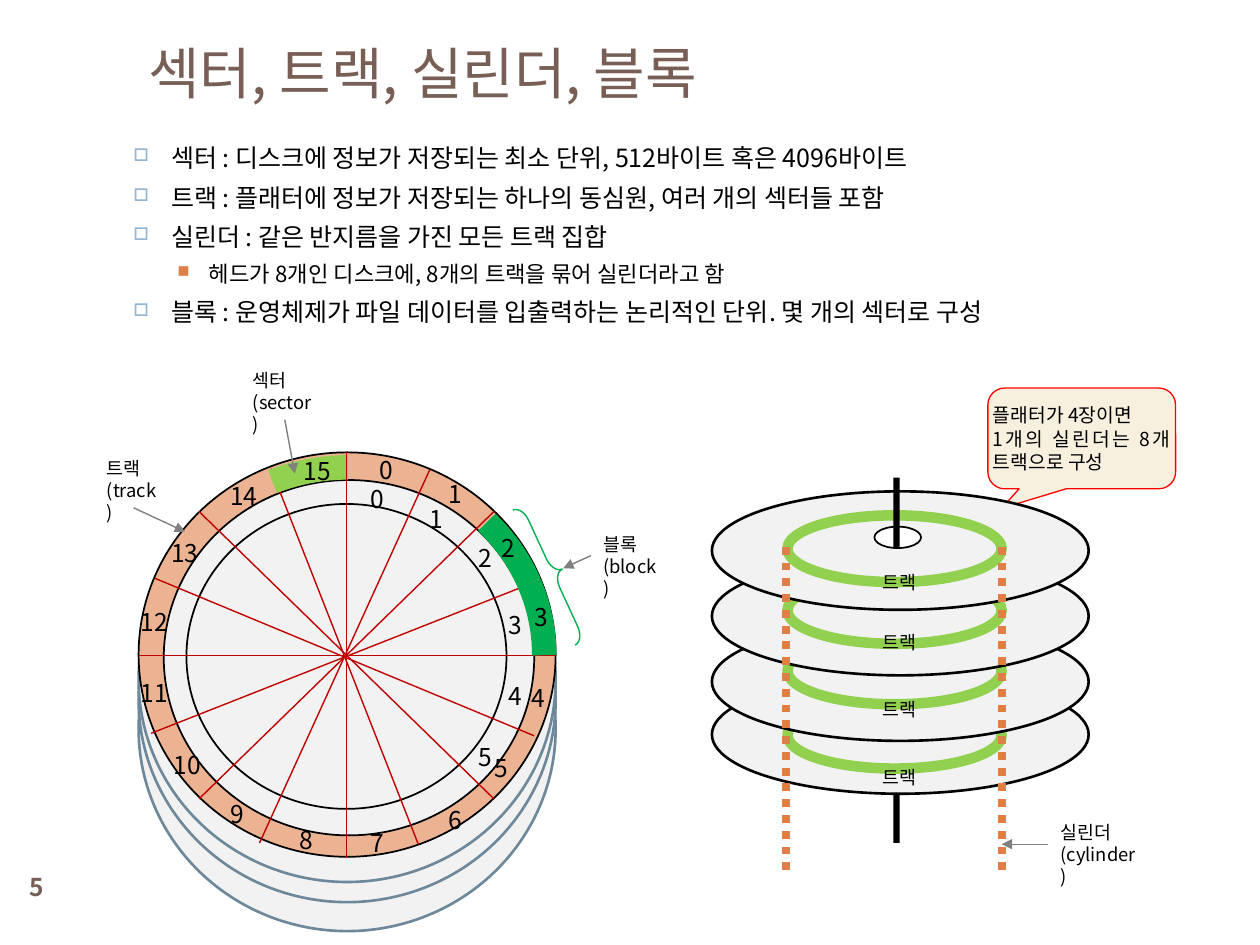
from math import cos, radians, sin

from lxml.etree import SubElement
from pptx import Presentation
from pptx.dml.color import RGBColor
from pptx.enum.dml import MSO_LINE
from pptx.enum.shapes import MSO_CONNECTOR, MSO_SHAPE as SH
from pptx.enum.text import MSO_ANCHOR, MSO_AUTO_SIZE, PP_ALIGN
from pptx.oxml.ns import qn
from pptx.util import Emu, Pt

PX = 9144
FONT = "Noto Sans CJK KR"
C = {
    "brown": "775F55", "black": "000000", "white": "FFFFFF", "blue": "94B6D2",
    "orange": "DD8047", "disk": "F2F2F2", "edge": "6D879B", "peach": "EBB391",
    "red": "C00000", "gray": "808080", "lime": "92D050", "green": "00B050",
    "cream": "F7F0DE", "alert": "FF0000",
}


def emu(*lengths):
    return [Emu(round(v * PX)) for v in lengths]


def rgb(name):
    return RGBColor.from_string(C[name])


def stroke(shape, color, width, dash=None):
    shape.line.color.rgb = rgb(color)
    shape.line.width = Pt(width)
    if dash:
        shape.line.dash_style = dash


def add_shape(s, kind, box, fill=None, line=None, width=1, dash=None, alpha=None):
    sp = s.shapes.add_shape(kind, *emu(*box))
    sp.shadow.inherit = False
    if fill:
        sp.fill.solid()
        sp.fill.fore_color.rgb = rgb(fill)
        if alpha:
            color = sp.fill._xPr.find(qn("a:solidFill"))[0]
            SubElement(color, qn("a:alpha"), val=str(alpha * 1000))
    else:
        sp.fill.background()
    if line:
        stroke(sp, line, width, dash)
    else:
        sp.line.fill.background()
    return sp


def add_line(s, x1, y1, x2, y2, color, width=0.79, dash=None, arrow=False):
    cn = s.shapes.add_connector(MSO_CONNECTOR.STRAIGHT, *emu(x1, y1, x2, y2))
    stroke(cn, color, width, dash)
    SubElement(cn._element.spPr, qn("a:effectLst"))
    if arrow:
        SubElement(cn.line._get_or_add_ln(), qn("a:tailEnd"), type="triangle")


def style(p, size, color="black", bold=False):
    p.line_spacing = Pt(round(size * 1.2, 1))
    for r in p.runs:
        r.font.name = FONT
        r.font.size = Pt(size)
        r.font.bold = bold
        r.font.color.rgb = rgb(color)
        SubElement(r._r.get_or_add_rPr(), qn("a:ea"), typeface=FONT)


def add_text(s, box, text, size, color="black", bold=False, wrap=True, middle=False):
    tf = s.shapes.add_textbox(*emu(*box)).text_frame
    tf.word_wrap = wrap
    tf.auto_size = MSO_AUTO_SIZE.NONE if middle else MSO_AUTO_SIZE.SHAPE_TO_FIT_TEXT
    tf.vertical_anchor = MSO_ANCHOR.MIDDLE if middle else MSO_ANCHOR.TOP
    tf.text = text
    for p in tf.paragraphs:
        style(p, size, color, bold)
    return tf


def add_bullet(p, char, color, percent, margin, indent):
    pPr = p._p.get_or_add_pPr()
    pPr.set("marL", str(margin * PX))
    pPr.set("indent", str(-indent * PX))
    SubElement(SubElement(pPr, qn("a:buClr")), qn("a:srgbClr"), val=C[color])
    SubElement(pPr, qn("a:buSzPct"), val=str(percent * 1000))
    SubElement(pPr, qn("a:buChar"), char=char)


def add_body(s, x, y, w, h):
    items = [
        (1, "섹터 : 디스크에 정보가 저장되는 최소 단위, 512바이트 혹은 4096바이트"),
        (1, "트랙 : 플래터에 정보가 저장되는 하나의 동심원, 여러 개의 섹터들 포함"),
        (1, "실린더 : 같은 반지름을 가진 모든 트랙 집합"),
        (2, "헤드가 8개인 디스크에, 8개의 트랙을 묶어 실린더라고 함"),
        (1, "블록 : 운영체제가 파일 데이터를 입출력하는 논리적인 단위. 몇 개의 섹터로 구성"),
    ]
    levels = {
        1: (14.3, 5.5, ("□", "blue", 70, 70, 30)),
        2: (12.7, 5, ("■", "orange", 75, 100, 25)),
    }
    tf = add_text(s, (x, y, w, h), "\n".join(t for _, t in items), 14.3)
    tf.auto_size = MSO_AUTO_SIZE.NONE
    for i, (p, (level, _)) in enumerate(zip(tf.paragraphs, items)):
        size, before, bullet = levels[level]
        add_bullet(p, *bullet)
        p.level = level - 1
        p.line_spacing = Pt(round(size * 1.2, 1))
        p.space_before = Pt(before if i else 0)
        for r in p.runs:
            r.font.size = Pt(size)


def add_arc(s, cx, cy, start, color, rx=156, ry=149, sweep=22.5, steps=12):
    angles = [radians(start + sweep * i / steps) for i in range(steps + 1)]
    points = [emu(cx + rx * cos(a), cy - ry * sin(a)) for a in angles]
    builder = s.shapes.build_freeform(*points[0])
    builder.add_line_segments(points[1:], close=False)
    sp = builder.convert_to_shape()
    sp.shadow.inherit = False
    sp.fill.background()
    stroke(sp, color, 14)


def add_wheel(s, x, y):
    for dy in (59, 36, 20):
        add_shape(s, SH.OVAL, (x, y + dy, 331, 321), "disk", "edge", 1.5)
    rings = [(0, 0, 331, 321, "peach"), (20, 22, 294, 282, "disk"), (38, 41, 254, 242, None)]
    for dx, dy, w, h, fill in rings:
        add_shape(s, SH.OVAL, (x + dx, y + dy, w, h), fill, "black")

    spokes = [
        (0, 161, 331, 161), (48, 47, 282, 275), (282, 47, 48, 275), (105, 13, 222, 311),
        (10, 223, 317, 102), (13, 100, 314, 225), (231, 14, 96, 310),
    ]
    for x1, y1, x2, y2 in spokes:
        add_line(s, x + x1, y + y1, x + x2, y + y2, "red")
    for start, color in ((90, "lime"), (22.5, "green"), (0, "green")):
        add_arc(s, x + 166, y + 161, start, color)
    add_line(s, x + 165, y, x + 165, y + 322, "red")

    outer = [
        (181, -3), (236, 16), (278, 59), (304, 114), (302, 178), (273, 234), (236, 275), (174, 293),
        (118, 291), (63, 270), (18, 231), (-8, 174), (-8, 118), (16, 63), (63, 18), (121, -2),
    ]
    inner = [(174, 20), (221, 36), (260, 67), (284, 120), (284, 177), (260, 225)]
    for track in (outer, inner):
        for n, (dx, dy) in enumerate(track):
            add_text(s, (x + dx, y + dy, 31 if n < 10 else 42, 34), str(n), 14, wrap=False)

    captions = [
        ("트랙\n(track)", (-35, -1, 62), (-4, 44, 37, 63)),
        ("섹터\n(sector)", (81, -71, 70), (116, -26, 124, 17)),
        ("블록\n(block)", (359, 59, 65), (359, 82, 337, 92)),
    ]
    for text, (dx, dy, w), (x1, y1, x2, y2) in captions:
        add_text(s, (x + dx, y + dy, w, 45), text, 10.5)
        add_line(s, x + x1, y + y1, x + x2, y + y2, "gray", arrow=True)
    brace = add_shape(s, SH.RIGHT_BRACE, (x + 321, y + 37, 16, 118), None, "green", 0.79)
    brace.rotation = 335.2
    brace.adjustments[0] = 0.773


def add_callout(s, x, y, w, h):
    sp = add_shape(s, SH.ROUNDED_RECTANGULAR_CALLOUT, (x, y, w, h), "cream", "alert", 0.75)
    for i, value in enumerate((-0.427, 0.694, 0.167)):
        sp.adjustments[i] = value
    tf = sp.text_frame
    tf.word_wrap = True
    tf.margin_left = tf.margin_right = tf.margin_top = tf.margin_bottom = 0
    tf.vertical_anchor = MSO_ANCHOR.MIDDLE
    tf.text = "플래터가 4장이면\n1개의 실린더는 8개 트랙으로 구성"
    for p in tf.paragraphs:
        p.alignment = PP_ALIGN.JUSTIFY
        style(p, 11)


def add_stack(s, x, y):
    add_shape(s, SH.RECTANGLE, (x + 144, y + 32, 5, 258), "black")
    platters = [(157, 178, 224), (115, 127, 170), (63, 79, 117), (11, 30, 69)]
    for disk, track, _ in platters:
        add_shape(s, SH.OVAL, (x, y + disk, 299, 94), "disk", "black", 1.5)
        add_shape(s, SH.OVAL, (x + 61, y + track + 1, 169, 53), "disk", "green", 0.75,
                  MSO_LINE.ROUND_DOT, 87)
        add_shape(s, SH.OVAL, (x + 60, y + track, 170, 53), "disk", "lime", 6, alpha=87)
    for *_, label in platters:
        add_text(s, (x + 126, y + label, 50, 28), "트랙", 10.5, wrap=False)
    for dx in (230, 59):
        add_line(s, x + dx, y + 55, x + dx, y + 315, "orange", 4.5, MSO_LINE.ROUND_DOT)
    add_shape(s, SH.OVAL, (x + 129, y + 39, 37, 17), "white", "black")
    add_shape(s, SH.RECTANGLE, (x + 144, y, 5, 55), "black")
    add_text(s, (x + 267, y + 268, 82, 45), "실린더\n(cylinder)", 10.5)
    add_line(s, x + 267, y + 291, x + 230, y + 291, "gray", arrow=True)


def main():
    prs = Presentation()
    prs.slide_width, prs.slide_height = emu(1000, 750)
    s = prs.slides.add_slide(prs.slide_layouts[6])
    number = add_text(s, (0, 683, 58, 42), "5", 14, "brown", bold=True, middle=True)
    number.paragraphs[0].alignment = PP_ALIGN.CENTER
    add_text(s, (108, 20, 892, 74), "섹터, 트랙, 실린더, 블록", 32, "brown", middle=True)
    add_body(s, 56, 108, 892, 139)
    add_wheel(s, 110, 359)
    add_callout(s, 784, 308, 149, 80)
    add_stack(s, 565, 379)
    prs.save("out.pptx")


if __name__ == "__main__":
    main()
